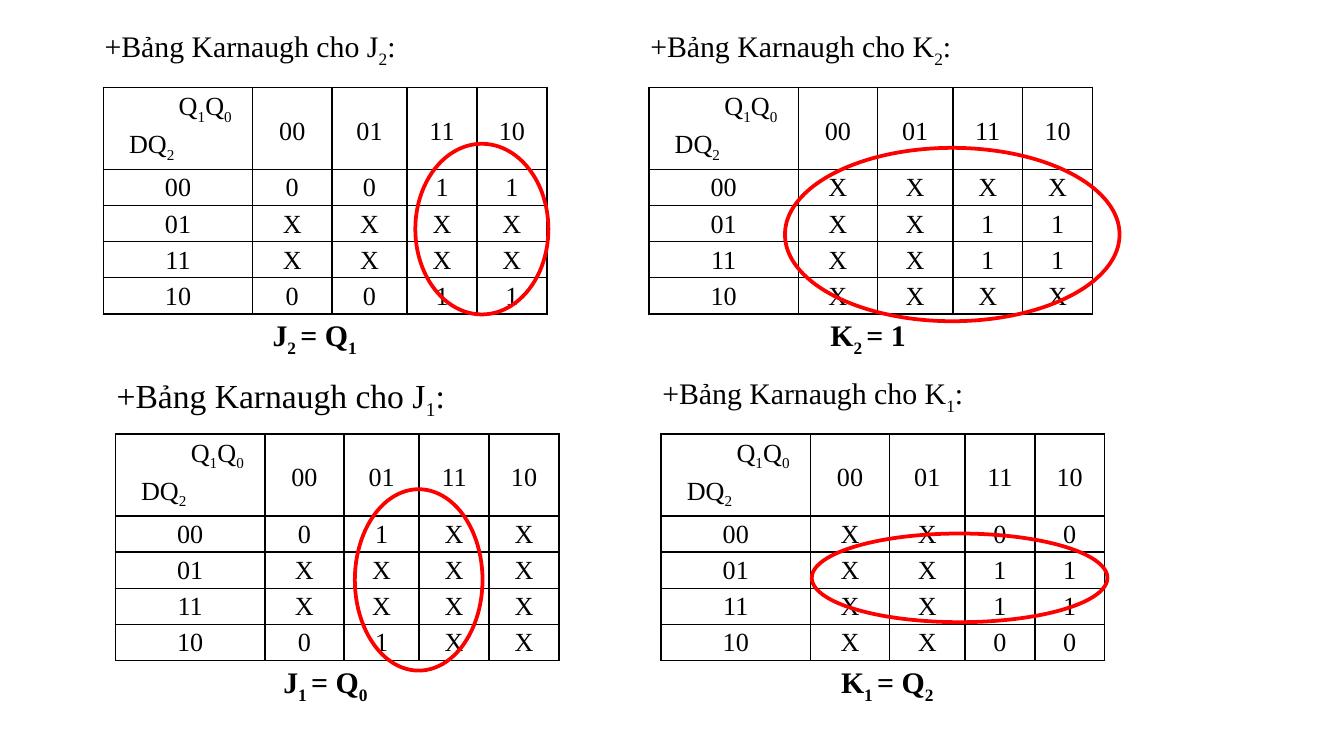
from dataclasses import dataclass

from lxml.etree import SubElement
from pptx import Presentation
from pptx.dml.color import RGBColor
from pptx.enum.shapes import MSO_SHAPE
from pptx.enum.text import MSO_AUTO_SIZE, PP_ALIGN
from pptx.oxml.ns import qn
from pptx.slide import Slide
from pptx.table import _Cell
from pptx.text.text import _Paragraph
from pptx.util import Inches, Pt

ELLIPSE = MSO_SHAPE.OVAL
FIT_SHAPE = MSO_AUTO_SIZE.SHAPE_TO_FIT_TEXT
CENTER = PP_ALIGN.CENTER
LEFT = PP_ALIGN.LEFT

BLACK = RGBColor(0x00, 0x00, 0x00)
WHITE = RGBColor(0xFF, 0xFF, 0xFF)
RED = RGBColor(0xFF, 0x00, 0x00)

FONT = "Times New Roman"
CELL_SIZE = 14
SLIDE_WIDTH = 10
SLIDE_HEIGHT = SLIDE_WIDTH * 9 / 16
GRID_ORIGIN = (0.77, 0.65)
GRID_PITCH = (4.06, 2.58)
ROW_SHIFT = 0.09
TITLE_OFFSET = (-0.09, -0.49)
EQUATION_TOP = 1.66
EQUATION_HEIGHT = 0.64
TABLE_HEIGHT = 1.61
COLUMN_WIDTHS = (1.11, 0.59, 0.56, 0.52, 0.52)
ROW_HEIGHTS = (0.49, 0.25, 0.25, 0.24, 0.24)
GRAY_CODE = ("00", "01", "11", "10")
CORNER_LINES = ("Q|1|Q|0", "DQ|2")


@dataclass(frozen=True)
class Box:
    left: float
    top: float
    width: float
    height: float

    def lengths(self) -> tuple:
        return tuple(Inches(v) for v in (self.left, self.top, self.width, self.height))


@dataclass(frozen=True)
class Karnaugh:
    column: int
    row: int
    title: str
    title_size: int
    title_height: float
    equation: str
    equation_left: float
    equation_width: float
    values: tuple[str, ...]
    loop: Box

    def place(self, box: Box) -> Box:
        left = GRID_ORIGIN[0] + self.column * GRID_PITCH[0] + self.row * ROW_SHIFT
        top = GRID_ORIGIN[1] + self.row * GRID_PITCH[1]
        return Box(left + box.left, top + box.top, box.width, box.height)


MAPS = (
    Karnaugh(0, 0, "+Bảng Karnaugh cho J|2|:", 16, 0.37, "J|2 |= Q|1", 1.16, 1.33,
             ("0011", "XXXX", "XXXX", "0011"), Box(2.32, 0.42, 0.99, 1.27)),
    Karnaugh(1, 0, "+Bảng Karnaugh cho K|2|:", 16, 0.37, "K|2 |= 1", 1.25, 1.91,
             ("XXXX", "XX11", "XX11", "XXXX"), Box(1.01, 0.45, 2.49, 1.29)),
    Karnaugh(0, 1, "+Bảng Karnaugh cho J|1|:", 18, 0.71, "J|1 |= Q|0", 1.15, 1.16,
             ("01XX", "XXXX", "XXXX", "01XX"), Box(1.78, 0.41, 0.95, 1.35)),
    Karnaugh(1, 1, "+Bảng Karnaugh cho K|1|:", 16, 0.37, "K|1 |= Q|2", 1.24, 1,
             ("XX00", "XX11", "XX11", "XX00"), Box(1.12, 0.74, 2.2, 0.66)),
)


def add_runs(paragraph: _Paragraph, text: str, size: int, bold: bool = False) -> None:
    formats = {"name": FONT, "size": Pt(size), "bold": bold}
    for index, part in enumerate(text.split("|")):
        if not part:
            continue
        run = paragraph.add_run()
        run.text = part
        for name, value in formats.items():
            setattr(run.font, name, value)
        run.font.color.rgb = BLACK
        if index % 2:
            run._r.get_or_add_rPr().set("baseline", "-25000")


def add_label(slide: Slide, box: Box, text: str, size: int, bold: bool = False) -> None:
    frame = slide.shapes.add_textbox(*box.lengths()).text_frame
    frame.word_wrap = True
    frame.auto_size = FIT_SHAPE
    add_runs(frame.paragraphs[0], text, size, bold)


def style_cell(cell: _Cell) -> None:
    margins = {"margin_left": 0.07, "margin_right": 0.07, "margin_top": 0, "margin_bottom": 0}
    for name, value in margins.items():
        setattr(cell, name, Inches(value))
    properties = cell._tc.get_or_add_tcPr()
    for side in ("lnL", "lnR", "lnT", "lnB"):
        line = SubElement(properties, qn(f"a:{side}"), w=str(Pt(1)))
        fill = SubElement(line, qn("a:solidFill"))
        SubElement(fill, qn("a:srgbClr"), val=str(BLACK))
    cell.fill.solid()
    cell.fill.fore_color.rgb = WHITE


def fill_corner(cell: _Cell) -> None:
    paragraph = cell.text_frame.paragraphs[0]
    properties = paragraph._p.get_or_add_pPr()
    properties.set("marL", str(Inches(0.12)))
    properties.set("indent", str(Inches(0.37)))
    add_runs(paragraph, CORNER_LINES[0], CELL_SIZE)
    paragraph.add_line_break()
    SubElement(paragraph._p[-1], qn("a:rPr"), sz=str(CELL_SIZE * 100))
    add_runs(paragraph, CORNER_LINES[1], CELL_SIZE)


def add_map_table(slide: Slide, karnaugh: Karnaugh) -> None:
    box = karnaugh.place(Box(0, 0, sum(COLUMN_WIDTHS), TABLE_HEIGHT))
    frame = slide.shapes.add_table(len(ROW_HEIGHTS), len(COLUMN_WIDTHS), *box.lengths())
    table = frame.table
    table.first_row = False
    table.horz_banding = False
    for column, width in zip(table.columns, COLUMN_WIDTHS):
        column.width = Inches(width)
    for row, height in zip(table.rows, ROW_HEIGHTS):
        row.height = Inches(height)
    frame.height = Inches(TABLE_HEIGHT)
    body = [(code, *values) for code, values in zip(GRAY_CODE, karnaugh.values)]
    for row_index, texts in enumerate([("", *GRAY_CODE), *body]):
        for column_index, text in enumerate(texts):
            cell = table.cell(row_index, column_index)
            style_cell(cell)
            is_corner = row_index == column_index == 0
            is_header = row_index == 0 and not is_corner
            formats = {
                "alignment": LEFT if is_corner else CENTER,
                "line_spacing": 1.0 if is_header else 1.15,
                "space_after": Pt(10),
            }
            paragraph = cell.text_frame.paragraphs[0]
            for name, value in formats.items():
                setattr(paragraph, name, value)
            if is_corner:
                fill_corner(cell)
            else:
                add_runs(paragraph, text, CELL_SIZE)
            if is_header:
                cell.margin_top = Inches(0.22)


def add_loop(slide: Slide, box: Box) -> None:
    shape = slide.shapes.add_shape(ELLIPSE, *box.lengths())
    shape.shadow.inherit = False
    shape.fill.background()
    shape.line.color.rgb = RED
    shape.line.width = Pt(2)


def add_karnaugh(slide: Slide, karnaugh: Karnaugh) -> None:
    title = karnaugh.place(
        Box(*TITLE_OFFSET, 3.57 + 0.33 * karnaugh.column, karnaugh.title_height))
    equation = karnaugh.place(
        Box(karnaugh.equation_left, EQUATION_TOP, karnaugh.equation_width, EQUATION_HEIGHT))
    add_label(slide, title, karnaugh.title, karnaugh.title_size)
    add_map_table(slide, karnaugh)
    add_label(slide, equation, karnaugh.equation, 16, True)
    add_loop(slide, karnaugh.place(karnaugh.loop))


def main() -> None:
    presentation = Presentation()
    presentation.slide_width = Inches(SLIDE_WIDTH)
    presentation.slide_height = Inches(SLIDE_HEIGHT)
    slide = presentation.slides.add_slide(presentation.slide_layouts[6])
    for karnaugh in MAPS:
        add_karnaugh(slide, karnaugh)
    presentation.save("out.pptx")


if __name__ == "__main__":
    main()
